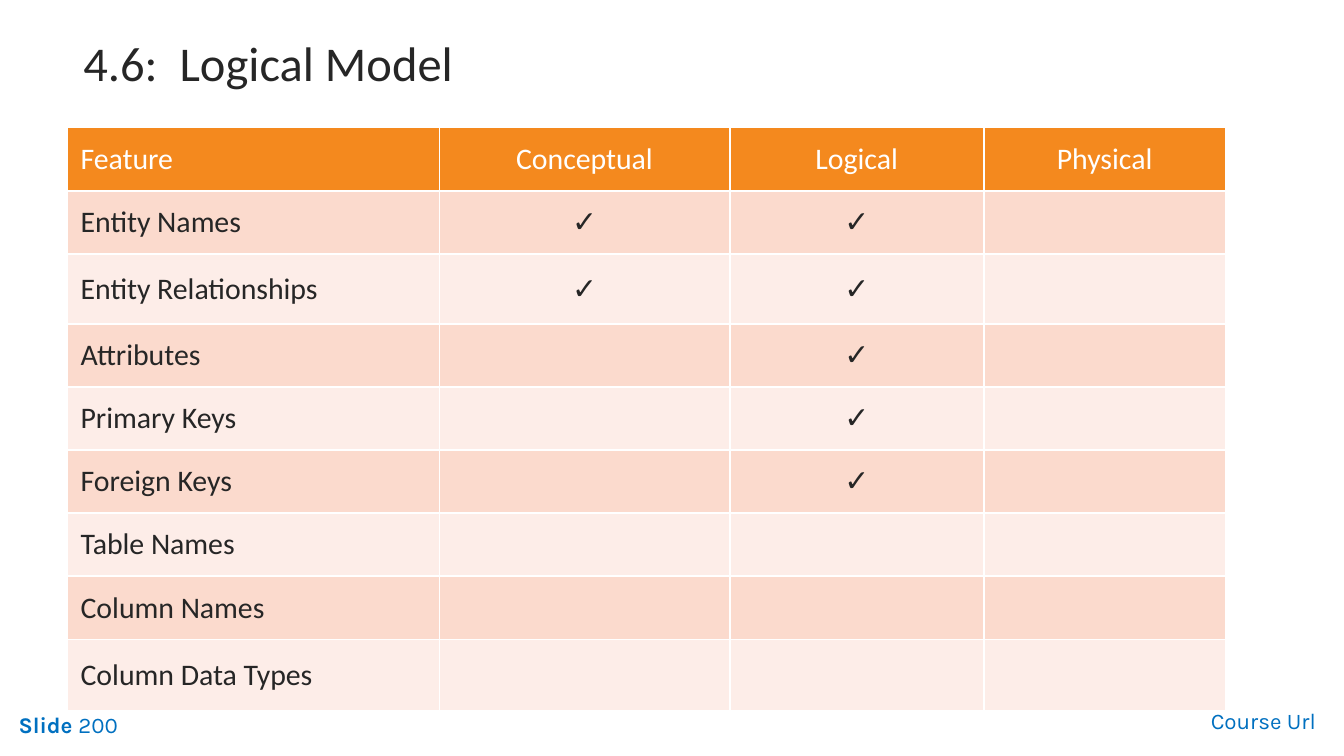
from pptx import Presentation
from pptx.dml.color import RGBColor
from pptx.enum import text
from pptx.util import Inches, Pt

COLORS = {
    "ink": "262626", "white": "FFFFFF", "header": "F4891E",
    "odd": "FBDACD", "even": "FDEDE8", "footer": "0070C0",
}


def add_run(p, content, size, font, color, bold=False):
    r = p.add_run()
    r.text = content
    r.font.size = Pt(size)
    r.font.name = font
    r.font.bold = bold
    r.font.color.rgb = RGBColor.from_string(COLORS[color])


prs = Presentation()
prs.slide_width = Inches(10)
prs.slide_height = Inches(10 * 9 / 16)
s = prs.slides.add_slide(prs.slide_layouts[5])

# Footer
footers = [
    (0.04, 5.24, 1.58, text.PP_ALIGN.LEFT, [("Slide ", True), ("200", False)]),
    (5.62, 5.21, 4.27, text.PP_ALIGN.RIGHT, [("Course Url", False)]),
]
for left, top, width, align, runs in footers:
    sp = s.shapes.add_textbox(Inches(left), Inches(top), Inches(width), Inches(0.3))
    tf = sp.text_frame
    tf.word_wrap = True
    tf.auto_size = text.MSO_AUTO_SIZE.SHAPE_TO_FIT_TEXT
    p = tf.paragraphs[0]
    p.alignment = align
    for content, bold in runs:
        add_run(p, content, 12, "Karla", "footer", bold)

# Title
title = s.shapes.title
title.left, title.top = Inches(0.52), Inches(0.18)
title.width, title.height = Inches(8.62), Inches(0.56)
tf = title.text_frame
tf.auto_size = text.MSO_AUTO_SIZE.NONE
tf.vertical_anchor = text.MSO_ANCHOR.MIDDLE
p = tf.paragraphs[0]
p.alignment = text.PP_ALIGN.LEFT
add_run(p, "4.6:  Logical Model", 26, "Calibri", "ink")

# Feature table; its default style supplies the white borders
rows = [
    ("Feature", "Conceptual", "Logical", "Physical"),
    ("Entity Names", "✓", "✓", ""),
    ("Entity Relationships", "✓", "✓", ""),
    ("Attributes", "", "✓", ""),
    ("Primary Keys", "", "✓", ""),
    ("Foreign Keys", "", "✓", ""),
    ("Table Names", "", "", ""),
    ("Column Names", "", "", ""),
    ("Column Data Types", "", "", ""),
]
col_widths = [2.77, 2.16, 1.89, 1.8]
row_heights = [0.47, 0.47, 0.52, 0.47, 0.47, 0.47, 0.47, 0.47, 0.53]
table = s.shapes.add_table(
    len(rows), len(col_widths), Inches(0.5), Inches(0.95),
    Inches(sum(col_widths)), Inches(sum(row_heights))).table
for column, width in zip(table.columns, col_widths):
    column.width = Inches(width)

for i, row in enumerate(rows):
    table.rows[i].height = Inches(row_heights[i])
    fill = "header" if i == 0 else "odd" if i % 2 else "even"
    for j, content in enumerate(row):
        cell = table.cell(i, j)
        cell.fill.solid()
        cell.fill.fore_color.rgb = RGBColor.from_string(COLORS[fill])
        cell.vertical_anchor = text.MSO_ANCHOR.MIDDLE
        p = cell.text_frame.paragraphs[0]
        p.alignment = text.PP_ALIGN.CENTER if j else text.PP_ALIGN.LEFT
        if content:
            add_run(p, content, 16, "Calibri", "ink" if i else "white")

prs.save("out.pptx")
